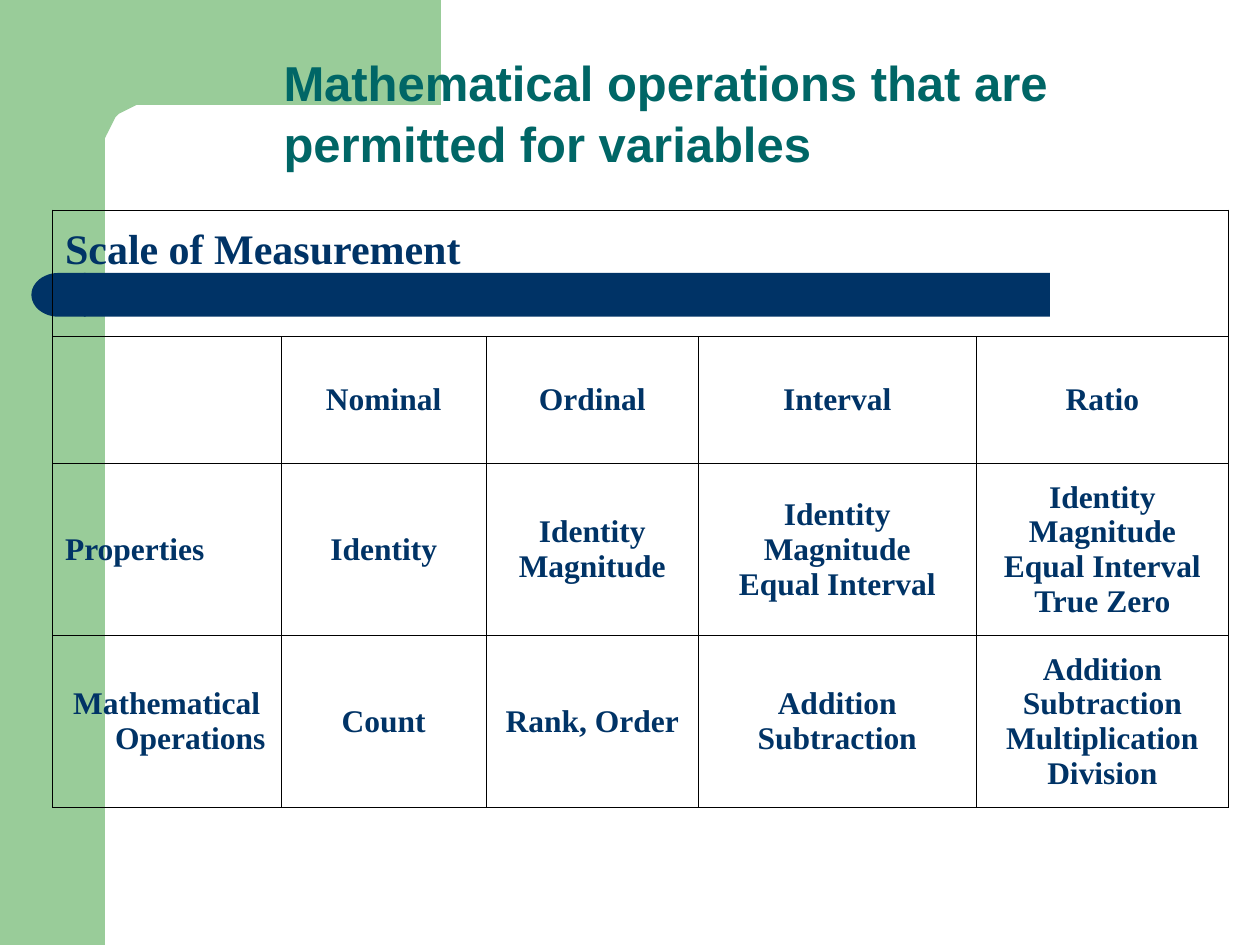
from dataclasses import dataclass
from math import cos, pi, sin

from lxml.etree import SubElement
from pptx import Presentation
from pptx.dml.color import RGBColor
from pptx.enum.shapes import MSO_SHAPE
from pptx.enum.text import MSO_ANCHOR, MSO_AUTO_SIZE, PP_ALIGN
from pptx.oxml.ns import qn
from pptx.util import Pt


@dataclass(frozen=True)
class Theme:
    """Colours, fonts and type sizes of the deck."""
    green: str = "99CC99"
    navy: str = "003366"
    teal: str = "006666"
    border: str = "000000"
    title_font: str = "Arial"
    table_font: str = "Times New Roman"
    title_size: int = 28
    heading_size: int = 24
    cell_size: int = 18
    border_width: float = 0.45


def write(tf, text, font, size, color, align=PP_ALIGN.LEFT, spacing=None, hanging=0):
    """Fill a text frame with one bold paragraph for each line of text."""
    for i, line in enumerate(text.split("\n")):
        p = tf.add_paragraph() if i else tf.paragraphs[0]
        p.alignment = align
        if spacing:
            p.line_spacing = spacing
        if hanging:
            pPr = p._p.get_or_add_pPr()
            pPr.set("marL", str(Pt(hanging)))
            pPr.set("indent", str(-Pt(hanging)))
        r = p.add_run()
        r.text = line
        r.font.name, r.font.size, r.font.bold = font, Pt(size), True
        r.font.color.rgb = RGBColor.from_string(color)


class SlideBuilder:
    """Holds the theme and the current slide."""

    def __init__(self, s, theme):
        """Keep the slide and its theme."""
        self.s, self.theme = s, theme

    def paint(self, sp, color):
        """Give a shape a plain fill without line or shadow."""
        sp.shadow.inherit = False
        sp.fill.solid()
        sp.fill.fore_color.rgb = RGBColor.from_string(color)
        sp.line.fill.background()

    def shape(self, kind, x, y, w, h, color, flip=False):
        """Add a filled preset shape."""
        sp = self.s.shapes.add_shape(kind, Pt(x), Pt(y), Pt(w), Pt(h))
        self.paint(sp, color)
        if flip:
            sp.element.spPr.find(qn("a:xfrm")).set("flipH", "1")
        return sp

    def outline(self, points, color):
        """Add a filled closed outline."""
        fb = self.s.shapes.build_freeform(*points[0], scale=Pt(1))
        fb.add_line_segments(points[1:], close=True)
        self.paint(fb.convert_to_shape(), color)

    def title(self, text, x, y, w, h):
        """Place the title in front of the shapes drawn so far."""
        t, sp = self.theme, self.s.shapes.title
        sp.left, sp.top, sp.width, sp.height = Pt(x), Pt(y), Pt(w), Pt(h)
        tf = sp.text_frame
        tf.word_wrap, tf.auto_size = True, MSO_AUTO_SIZE.NONE
        tf.vertical_anchor = MSO_ANCHOR.BOTTOM
        write(tf, text, t.title_font, t.title_size, t.teal, spacing=1.03)
        self.s.shapes.element.append(sp.element)

    def frame(self, cell):
        """Draw thin borders round an unfilled cell."""
        tcPr = cell._tc.get_or_add_tcPr()
        for side in ("lnL", "lnR", "lnT", "lnB"):
            ln = SubElement(tcPr, qn(f"a:{side}"), w=str(Pt(self.theme.border_width)))
            fill = SubElement(ln, qn("a:solidFill"))
            SubElement(fill, qn("a:srgbClr"), val=self.theme.border)
        cell.fill.background()
        cell.vertical_anchor = MSO_ANCHOR.MIDDLE

    def table(self, heading, rows, x, y, widths, heights):
        """Add a table with a heading row across all columns."""
        t = self.theme
        tbl = self.s.shapes.add_table(len(heights), len(widths), Pt(x), Pt(y),
                                      Pt(sum(widths)), Pt(sum(heights))).table
        tbl.first_row = tbl.horz_banding = False
        for col, w in zip(tbl.columns, widths):
            col.width = Pt(w)
        for row, h in zip(tbl.rows, heights):
            row.height = Pt(h)
        for cell in tbl.iter_cells():
            self.frame(cell)
        head = tbl.cell(0, 0)
        head.merge(tbl.cell(0, len(widths) - 1))
        head.margin_bottom = Pt(30.2)
        write(head.text_frame, heading, t.table_font, t.heading_size, t.navy, hanging=27)
        for i, row in enumerate(rows, 1):
            for j, text in enumerate(row):
                if text:
                    align = PP_ALIGN.LEFT if text == "Properties" else PP_ALIGN.CENTER
                    write(tbl.cell(i, j).text_frame, text, t.table_font, t.cell_size,
                          t.navy, align=align, hanging=27)


def main():
    """Build the slide and save it."""
    prs = Presentation()
    prs.slide_width, prs.slide_height = Pt(720), Pt(540)
    theme = Theme()
    b = SlideBuilder(prs.slides.add_slide(prs.slide_layouts[5]), theme)

    b.shape(MSO_SHAPE.RECTANGLE, 0, 0, 60, 540, theme.green)
    arc = [(82 - 22 * sin(a), 84 - 24 * cos(a)) for a in (k * pi / 32 for k in range(17))]
    b.outline([(36, 0), (252, 0), (252, 60), *arc, (60, 92), (36, 92)], theme.green)
    bar = b.shape(MSO_SHAPE.ROUNDED_RECTANGLE, 48, 156, 552, 25, theme.navy)
    bar.adjustments[0] = 0
    b.shape(MSO_SHAPE.FLOWCHART_DELAY, 18, 156, 31, 25, theme.navy, flip=True)

    b.title("Mathematical operations that are permitted for variables", 154.8, 39.5, 501, 62.6)
    rows = [
        ["", "Nominal", "Ordinal", "Interval", "Ratio"],
        ["Properties", "Identity", "Identity\nMagnitude",
         "Identity\nMagnitude\nEqual Interval",
         "Identity\nMagnitude\nEqual Interval\nTrue Zero"],
        ["Mathematical Operations", "Count", "Rank, Order", "Addition\nSubtraction",
         "Addition\nSubtraction\nMultiplication\nDivision"],
    ]
    b.table("Scale of Measurement", rows, 30, 120,
            [130.6, 117.4, 121, 159, 144], [72.5, 72.5, 98.3, 98.3])
    prs.save("out.pptx")


if __name__ == "__main__":
    main()
